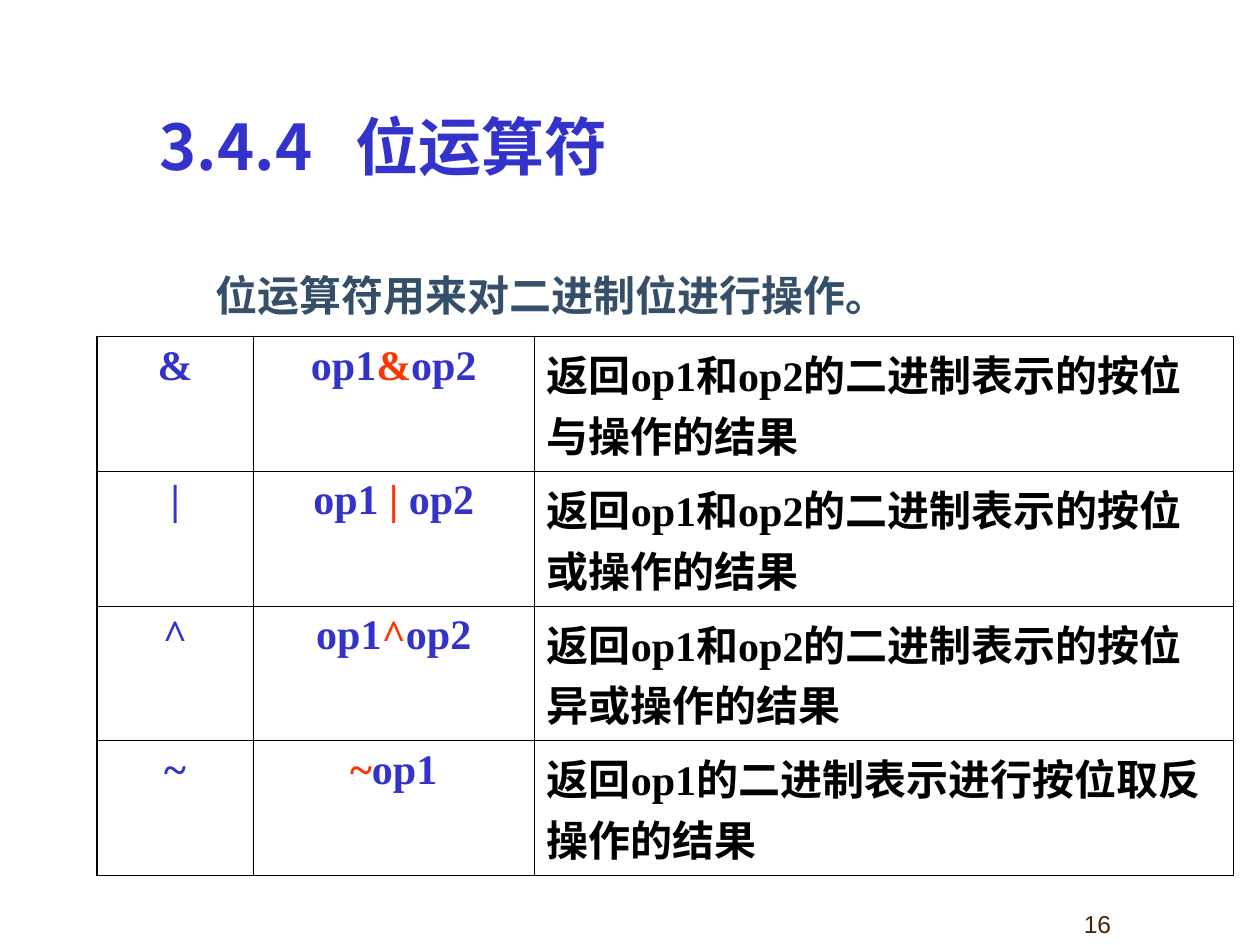
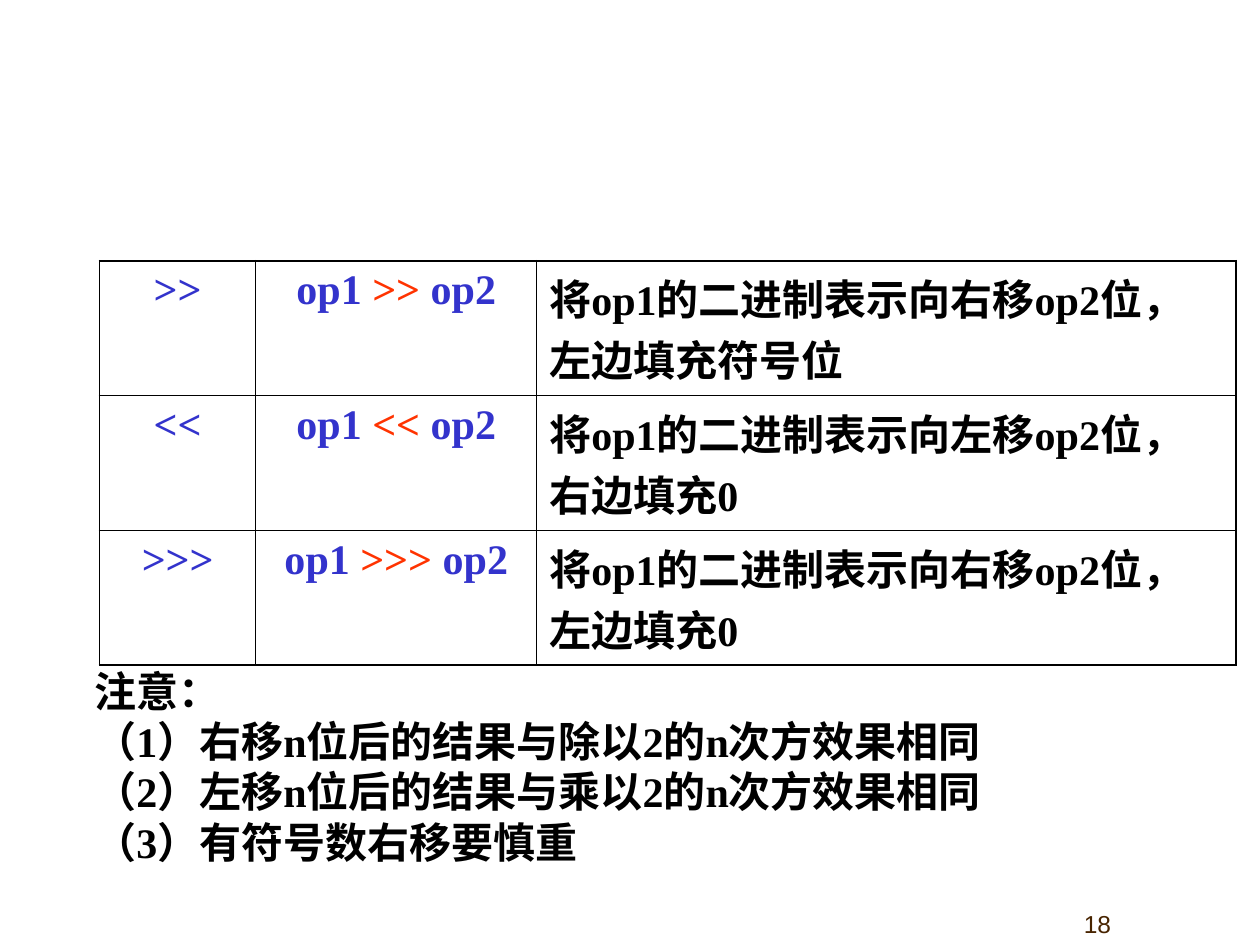
from dataclasses import dataclass, field
from typing import NamedTuple

from lxml.etree import SubElement
from pptx import Presentation
from pptx.dml.color import RGBColor
from pptx.enum.text import MSO_ANCHOR, PP_ALIGN
from pptx.oxml import parse_xml
from pptx.oxml.ns import nsdecls, qn
from pptx.util import Emu, Pt

PX = 9144  # 100 px to the inch
COLORS = {
    "page": "FFFFFF",
    "operand": "3333CC",
    "operator": "FF3300",
    "body": "000000",
    "lead": "364F68",
    "number": "482400",
}
CJK_FONT = "Noto Sans CJK SC"
LATIN_FONT = "Times New Roman"

# Table rules
COLUMN_WIDTHS = (124, 223, 555)
ROW_HEIGHT = 107
OUTER_LINE, INNER_LINE = 1.08, 0.45


class Style(NamedTuple):
    size: int
    color: str
    name: str = LATIN_FONT
    bold: bool = True


TITLE = Style(36, "operand", CJK_FONT)
LEAD = Style(24, "lead", CJK_FONT)
OPERAND = Style(24, "operand")
OPERATOR = Style(24, "operator")
BODY = Style(24, "body")
NUMBER = Style(14, "number", "Arial", False)


class Box(NamedTuple):
    left: int
    top: int
    width: int
    height: int


class Operation(NamedTuple):
    symbol: str
    before: str
    operator: str
    after: str
    meaning: str


@dataclass
class TextBlock:
    box: Box
    lines: list[str]
    style: Style
    frame_format: dict = field(default_factory=dict)
    paragraph_format: dict = field(default_factory=dict)
    tab_stop: int = 0


def px(length: int) -> Emu:
    return Emu(length * PX)


def apply(target, values: dict) -> None:
    for attribute, value in values.items():
        setattr(target, attribute, value)


def add_text(paragraph, text: str, style: Style) -> None:
    run = paragraph.add_run()
    run.text = text
    apply(run.font, {"size": Pt(style.size), "bold": style.bold})
    run.font.color.rgb = RGBColor.from_string(COLORS[style.color])
    run.font.name = style.name
    SubElement(run.font._element, qn("a:ea"), typeface=CJK_FONT)


def add_block(slide, block: TextBlock) -> None:
    frame = slide.shapes.add_textbox(*map(px, block.box)).text_frame
    apply(frame, {"word_wrap": True, **block.frame_format})
    for index, line in enumerate(block.lines):
        paragraph = frame.add_paragraph() if index else frame.paragraphs[0]
        if block.tab_stop:
            tabs = SubElement(paragraph._p.get_or_add_pPr(), qn("a:tabLst"))
            SubElement(tabs, qn("a:tab"), pos=str(px(block.tab_stop)), algn="l")
        apply(paragraph, block.paragraph_format)
        add_text(paragraph, line, block.style)


def set_borders(cell, widths: dict[str, float]) -> None:
    properties = cell._tc.get_or_add_tcPr()
    for index, (side, width) in enumerate(widths.items()):
        properties.insert(index, parse_xml(
            f'<a:ln{side} {nsdecls("a")} w="{Pt(width)}"><a:solidFill>'
            f'<a:srgbClr val="{COLORS["body"]}"/></a:solidFill></a:ln{side}>'))


def add_operations(slide, left: int, top: int, operations: list[Operation]) -> None:
    rows, columns = len(operations), len(COLUMN_WIDTHS)
    box = Box(left, top, sum(COLUMN_WIDTHS), ROW_HEIGHT * rows)
    table = slide.shapes.add_table(rows, columns, *map(px, box)).table
    apply(table, {"first_row": False, "horz_banding": False})
    for column, width in zip(table.columns, COLUMN_WIDTHS):
        column.width = px(width)

    for r, operation in enumerate(operations):
        contents = (
            [(operation.symbol, OPERAND)],
            [(operation.before, OPERAND), (operation.operator, OPERATOR),
             (operation.after, OPERAND)],
            [(operation.meaning, BODY)],
        )
        for c, pieces in enumerate(contents):
            cell = table.cell(r, c)
            cell.fill.solid()
            cell.fill.fore_color.rgb = RGBColor.from_string(COLORS["page"])
            edges = {"L": c == 0, "R": c == columns - 1, "T": r == 0, "B": r == rows - 1}
            set_borders(cell, {side: OUTER_LINE if outer else INNER_LINE
                               for side, outer in edges.items()})
            paragraph = cell.text_frame.paragraphs[0]
            paragraph.alignment = PP_ALIGN.LEFT if c == columns - 1 else PP_ALIGN.CENTER
            # Keep commas inside the cell margin
            paragraph._p.get_or_add_pPr().set("hangingPunct", "0")
            for text, style in pieces:
                if text:
                    add_text(paragraph, text, style)


def add_page(deck, number: int):
    slide = deck.slides.add_slide(deck.slide_layouts[6])
    add_block(slide, TextBlock(
        Box(767, 700, 208, 50), [str(number)], NUMBER,
        {"vertical_anchor": MSO_ANCHOR.BOTTOM}, {"alignment": PP_ALIGN.CENTER}))
    return slide


def main() -> None:
    deck = Presentation()
    apply(deck, {"slide_width": px(1000), "slide_height": px(750)})

    # Bitwise operators
    bitwise = add_page(deck, 16)
    add_block(bitwise, TextBlock(
        Box(146, 197, 607, 62), ["位运算符用来对二进制位进行操作。"], LEAD,
        {"margin_left": px(25)}, {"line_spacing": 1.3}))
    add_block(bitwise, TextBlock(
        Box(117, 80, 850, 70), ["3.4.4\t位运算符"], TITLE,
        {"vertical_anchor": MSO_ANCHOR.BOTTOM}, tab_stop=155))
    add_operations(bitwise, 77, 267, [
        Operation("&", "op1", "&", "op2", "返回op1和op2的二进制表示的按位与操作的结果"),
        Operation("|", "op1 ", "| ", "op2", "返回op1和op2的二进制表示的按位或操作的结果"),
        Operation("^", "op1", "^", "op2", "返回op1和op2的二进制表示的按位异或操作的结果"),
        Operation("~", "", "~", "op1", "返回op1的二进制表示进行按位取反操作的结果"),
    ])

    # Shift operators
    shifts = add_page(deck, 18)
    add_operations(shifts, 79, 207, [
        Operation(">>", "op1 ", ">> ", "op2", "将op1的二进制表示向右移op2位，左边填充符号位"),
        Operation("<<", "op1 ", "<< ", "op2", "将op1的二进制表示向左移op2位，右边填充0"),
        Operation(">>>", "op1 ", ">>> ", "op2", "将op1的二进制表示向右移op2位，左边填充0"),
    ])
    add_block(shifts, TextBlock(
        Box(65, 523, 800, 170),
        ["注意：",
         "（1）右移n位后的结果与除以2的n次方效果相同",
         "（2）左移n位后的结果与乘以2的n次方效果相同",
         "（3）有符号数右移要慎重"],
        BODY, paragraph_format={"line_spacing": Pt(28.8)}))

    deck.save("out.pptx")


if __name__ == "__main__":
    main()
